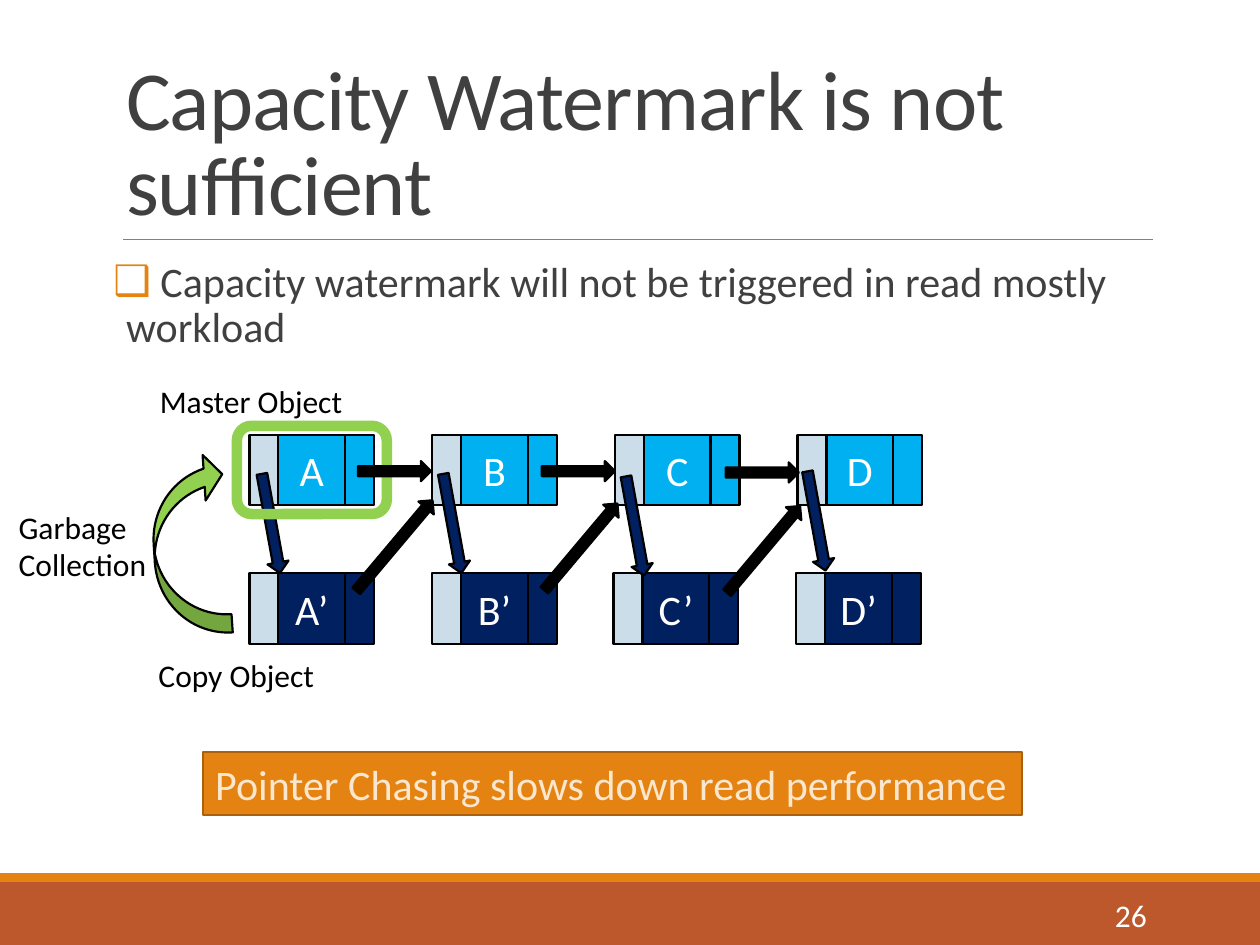
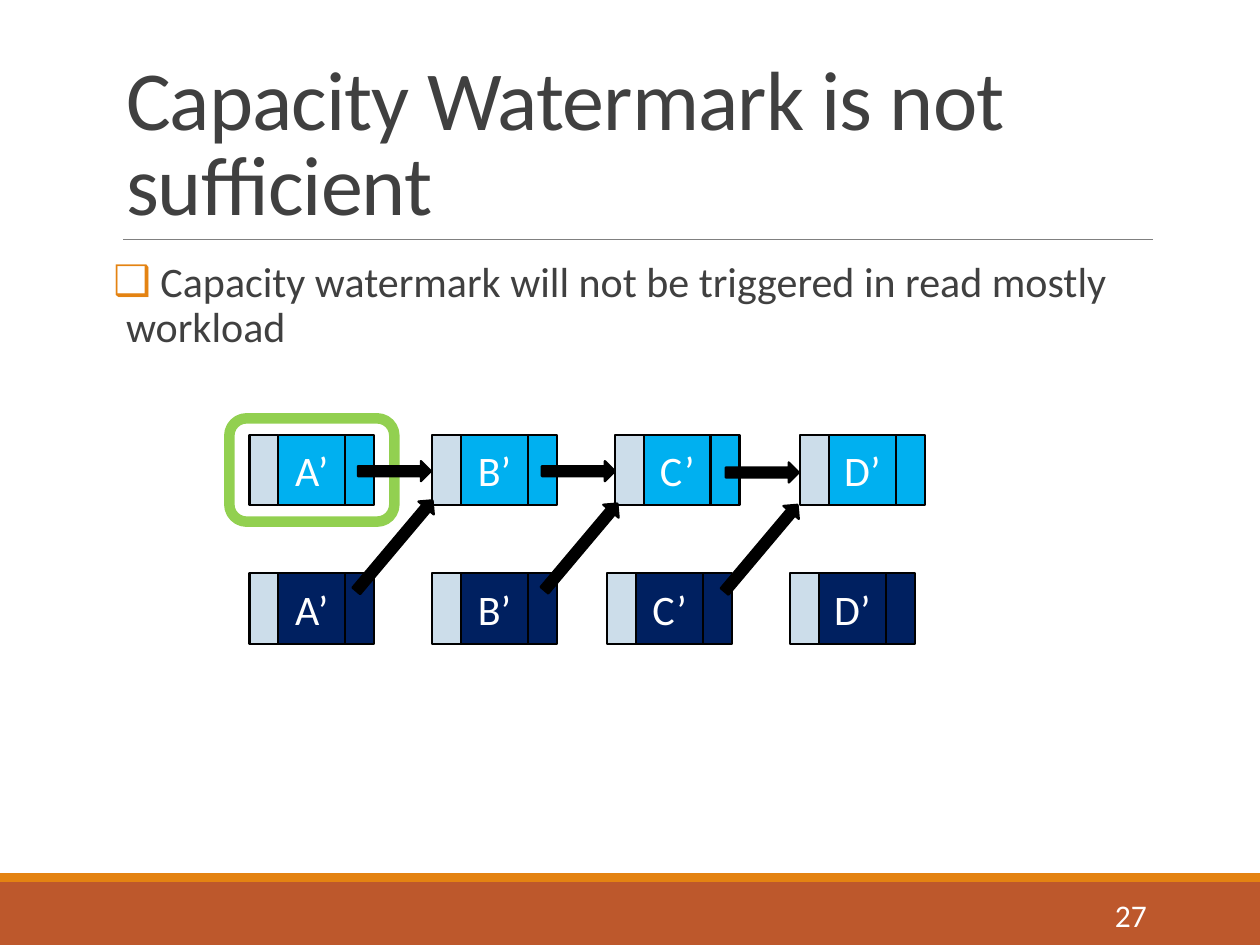
from lxml.etree import SubElement
from pptx import Presentation
from pptx.dml.color import RGBColor
from pptx.enum.shapes import MSO_CONNECTOR, MSO_SHAPE
from pptx.enum.text import MSO_ANCHOR, MSO_AUTO_SIZE, PP_ALIGN
from pptx.oxml.ns import qn
from pptx.util import Inches, Pt

# Colours and font
FONT = "Calibri"
WHITE = RGBColor(0xFF, 0xFF, 0xFF)
BLACK = RGBColor(0, 0, 0)
DARK_GREY = RGBColor(0x40, 0x40, 0x40)
RULE_GREY = RGBColor(0x80, 0x80, 0x80)
RUST = RGBColor(0xBD, 0x58, 0x2C)
ORANGE = RGBColor(0xE4, 0x83, 0x12)
BROWN = RGBColor(0xA9, 0x61, 0x0D)
CREAM = RGBColor(0xFB, 0xE6, 0xCE)
SKY = RGBColor(0x00, 0xB0, 0xF0)
NAVY = RGBColor(0x00, 0x20, 0x60)
PALE_BLUE = RGBColor(0xCC, 0xDD, 0xEA)
GREEN = RGBColor(0x92, 0xD0, 0x50)

# Content: each slide's object lists, their left edges and its markings
TITLE = "Capacity Watermark is not sufficient"
BULLET = " Capacity watermark will not be triggered in read mostly workload"
COPIES = ["A’", "B’", "C’", "D’"]
SLIDES = [
    {
        "number": 26,
        "masters": ["A", "B", "C", "D"],
        "master_lefts": [1.98, 3.43, 4.88, 6.33],
        "copy_lefts": [1.98, 3.43, 4.87, 6.32],
        "return_arrows": [(3.05, 3.86, 0.94), (4.53, 3.89, 0.9), (5.98, 3.91, 0.9)],
        "copy_arrows": [(1.75, 4.07), (3.19, 4.07), (4.64, 4.09), (6.08, 4.05)],
        "collection_arrow": (0.79, 4.03, 1.44, 0.58),
        "labels": [
            ("Garbage\nCollection", (0.05, 3.98, 1.26, 0.71)),
            ("Master Object", (1.17, 2.98, 2, 0.4)),
            ("Copy Object", (1.16, 5.16, 1.57, 0.4)),
        ],
        "highlight_margin": (0.1, 0.07),
        "conclusion": "Pointer Chasing slows down read performance",
    },
    {
        "number": 27,
        "masters": COPIES,
        "master_lefts": [1.98, 3.43, 4.88, 6.35],
        "copy_lefts": [1.98, 3.43, 4.82, 6.27],
        "return_arrows": [(3.05, 3.86, 0.94), (4.53, 3.89, 0.9), (5.96, 3.9, 0.9)],
        "highlight_margin": (0.16, 0.13),
    },
]

# Grid of the object diagram, in inches
MASTER_TOP, COPY_TOP = 3.45, 4.55
POINTER_WIDTH, NAME_WIDTH, BOX_HEIGHT = 0.23, 0.53, 0.56
OBJECT_WIDTH = 2 * POINTER_WIDTH + NAME_WIDTH
NEXT_ARROWS = [(2.84, 3.66), (4.3, 3.66), (5.76, 3.67)]


def place(shape, box):
    shape.left, shape.top, shape.width, shape.height = [Inches(value) for value in box]


def write(shape, text, size, color, align=PP_ALIGN.LEFT, anchor=MSO_ANCHOR.TOP):
    text_frame = shape.text_frame
    text_frame.text = text
    text_frame.word_wrap = True
    text_frame.auto_size = MSO_AUTO_SIZE.NONE
    text_frame.vertical_anchor = anchor
    for paragraph in text_frame.paragraphs:
        paragraph.alignment = align
        for run in paragraph.runs:
            run.font.name = FONT
            run.font.size = Pt(size)
            run.font.color.rgb = color
    return text_frame.paragraphs[0]


def add_shape(slide, kind, box, fill=None, line=BLACK, width=1.25, rotation=0):
    shape = slide.shapes.add_shape(kind, *[Inches(value) for value in box])
    shape.shadow.inherit = False
    shape.rotation = rotation
    if fill is None:
        shape.fill.background()
    else:
        shape.fill.solid()
        shape.fill.fore_color.rgb = fill
    if line is None:
        shape.line.fill.background()
    else:
        shape.line.color.rgb = line
        shape.line.width = Pt(width)
    return shape


def add_label(slide, text, box, color=BLACK, **layout):
    label = slide.shapes.add_textbox(*[Inches(value) for value in box])
    write(label, text, 18, color, **layout)


def add_frame(slide, number):
    """Bands, rule, title, bullet and page number."""
    add_shape(slide, MSO_SHAPE.RECTANGLE, (0, 7, 10, 0.5), RUST, None)
    add_shape(slide, MSO_SHAPE.RECTANGLE, (0, 6.93, 10, 0.07), ORANGE, None)
    rule = slide.shapes.add_connector(
        MSO_CONNECTOR.STRAIGHT, Inches(0.98), Inches(1.9), Inches(9.15), Inches(1.9))
    rule.line.color.rgb = RULE_GREY
    rule.line.width = Pt(0.5)
    SubElement(rule.element.spPr, qn("a:effectLst"))

    title = slide.shapes.title
    place(title, (0.9, 0.31, 8.25, 1.59))
    paragraph = write(title, TITLE, 48, DARK_GREY, anchor=MSO_ANCHOR.BOTTOM)
    paragraph.line_spacing = 0.85
    paragraph.runs[0].font._element.set("spc", "-50")

    body = slide.placeholders[1]
    place(body, (0.9, 2.02, 8.25, 4.4))
    paragraph = write(body, BULLET, 24, DARK_GREY)
    body.text_frame.margin_left = body.text_frame.margin_right = 0
    paragraph.line_spacing = 0.9
    paragraph.space_before, paragraph.space_after = Pt(12), Pt(2)
    properties = paragraph._p.get_or_add_pPr()
    properties.set("marL", str(Inches(0.1)))
    properties.set("indent", str(-Inches(0.1)))
    bullet_color = SubElement(properties, qn("a:buClr"))
    SubElement(bullet_color, qn("a:srgbClr")).set("val", str(ORANGE))
    SubElement(properties, qn("a:buChar")).set("char", "❑")

    add_label(slide, str(number), (8.12, 7.06, 1.08, 0.4), WHITE,
              align=PP_ALIGN.RIGHT, anchor=MSO_ANCHOR.MIDDLE)


def add_object(slide, name, left, top, color):
    """A named box between two narrow pointer boxes."""
    name_left = left + POINTER_WIDTH
    cells = [
        (name_left, NAME_WIDTH, color, name),
        (name_left + NAME_WIDTH, POINTER_WIDTH, color, ""),
        (left, POINTER_WIDTH, PALE_BLUE, ""),
    ]
    for cell_left, width, fill, text in cells:
        cell = add_shape(slide, MSO_SHAPE.RECTANGLE,
                         (cell_left, top, width, BOX_HEIGHT), fill)
        if text:
            write(cell, text, 24, WHITE, PP_ALIGN.CENTER, MSO_ANCHOR.MIDDLE)
            cell.text_frame.margin_left = cell.text_frame.margin_right = 0


def add_diagram(slide, content):
    rows = [
        (content["masters"], content["master_lefts"], MASTER_TOP, SKY),
        (COPIES, content["copy_lefts"], COPY_TOP, NAVY),
    ]
    for names, lefts, top, color in rows:
        for name, left in zip(names, lefts):
            add_object(slide, name, left, top, color)

    # Pointers between the two rows
    for left, top, length in content["return_arrows"]:
        add_shape(slide, MSO_SHAPE.DOWN_ARROW, (left, top, 0.16, length),
                  BLACK, rotation=220.1)
    for left, top in content.get("copy_arrows", []):
        add_shape(slide, MSO_SHAPE.RIGHT_ARROW, (left, top, 0.8, 0.17),
                  NAVY, rotation=79.7)

    # Garbage collection and labels
    if "collection_arrow" in content:
        arrow = add_shape(slide, MSO_SHAPE.CURVED_DOWN_ARROW,
                          content["collection_arrow"], GREEN, rotation=266.2)
        arrow.adjustments[1] = 0.626
    for text, box in content.get("labels", []):
        add_label(slide, text, box)

    # Highlight around the first master object
    across, down = content["highlight_margin"]
    add_shape(slide, MSO_SHAPE.ROUNDED_RECTANGLE,
              (content["master_lefts"][0] - across, MASTER_TOP - down,
               OBJECT_WIDTH + 2 * across, BOX_HEIGHT + 2 * down),
              line=GREEN, width=6)

    if "conclusion" in content:
        banner = add_shape(slide, MSO_SHAPE.RECTANGLE, (1.61, 5.97, 6.5, 0.5),
                           ORANGE, BROWN)
        write(banner, content["conclusion"], 24, CREAM)

    # Pointers along the master row
    for left, top in NEXT_ARROWS:
        add_shape(slide, MSO_SHAPE.RIGHT_ARROW, (left, top, 0.58, 0.16), BLACK)


def main():
    presentation = Presentation()
    presentation.slide_width, presentation.slide_height = Inches(10), Inches(7.5)
    for content in SLIDES:
        slide = presentation.slides.add_slide(presentation.slide_layouts[1])
        add_frame(slide, content["number"])
        add_diagram(slide, content)
    presentation.save("out.pptx")


if __name__ == "__main__":
    main()
